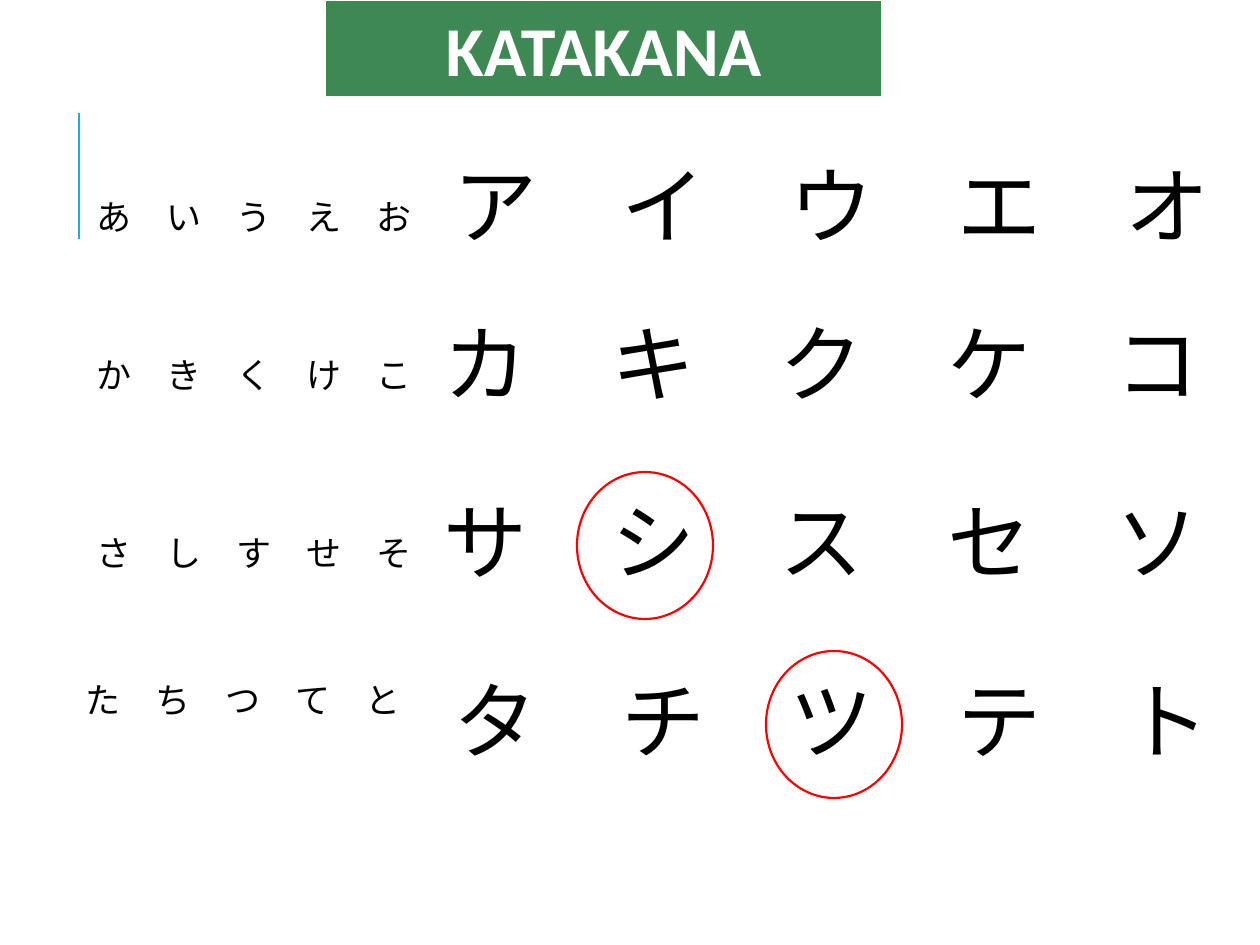
from lxml import etree
from pptx import Presentation
from pptx.dml.color import RGBColor
from pptx.enum.shapes import MSO_CONNECTOR, MSO_SHAPE
from pptx.enum.text import MSO_ANCHOR, MSO_AUTO_SIZE, PP_ALIGN
from pptx.oxml.ns import qn
from pptx.util import Pt

EMU_PER_PX = 914400 / 126
RECTANGLE, OVAL = MSO_SHAPE.RECTANGLE, MSO_SHAPE.OVAL
STRAIGHT = MSO_CONNECTOR.STRAIGHT
TOP, CENTER, LEFT = MSO_ANCHOR.TOP, PP_ALIGN.CENTER, PP_ALIGN.LEFT
GROW = MSO_AUTO_SIZE.SHAPE_TO_FIT_TEXT
IDEOGRAPHIC_SPACE = "　"

# hiragana, its left and top, katakana, its left and top
KANA_ROWS = [
    ("あいうえお", 84, 189, "アイウエオ", 441, 147),
    ("かきくけこ", 84, 347, "カキクケコ", 431, 305),
    ("さしすせそ", 84, 525, "サシスセソ", 431, 483),
    ("たちつてと", 73, 672, "タチツテト", 441, 662),
]
LOOKALIKE_CIRCLES = [(577, 472), (766, 651)]


def px(*lengths):
    return [round(length * EMU_PER_PX) for length in lengths]


def color(hex_string):
    return RGBColor.from_string(hex_string)


class KanaSlide:
    title_font, kana_font = "Calibri", "Noto Sans CJK JP"
    ink, white, green = "000000", "FFFFFF", "3E8853"
    red, blue = "FF0000", "1CADE4"

    def __init__(self, deck):
        self.slide = deck.slides.add_slide(deck.slide_layouts[6])

    def accent_line(self, x, top, bottom):
        line = self.slide.shapes.add_connector(STRAIGHT, *px(x, bottom, x, top))
        line.line.color.rgb = color(self.blue)
        line.line.width = Pt(1.5)
        etree.SubElement(line._element.spPr, qn("a:effectLst"))

    def outlined_shape(self, kind, bounds, line_color, line_width):
        shape = self.slide.shapes.add_shape(kind, *px(*bounds))
        shape.shadow.inherit = False
        shape.line.color.rgb = color(line_color)
        shape.line.width = Pt(line_width)
        return shape

    def add_text(self, frame, text, size, font, text_color, align=LEFT, bold=False):
        frame.word_wrap = True
        frame.auto_size = GROW
        frame.vertical_anchor = TOP
        para = frame.paragraphs[0]
        para.alignment = align
        span = para.add_run()
        span.text = text
        span.font.size = Pt(size)
        span.font.bold = bold
        span.font.color.rgb = color(text_color)
        span.font.name = font
        # East Asian characters take their typeface from a:ea
        etree.SubElement(span.font._element, qn("a:ea"), typeface=font)

    def title(self, text, *bounds):
        banner = self.outlined_shape(RECTANGLE, bounds, self.white, 1.5)
        banner.fill.solid()
        banner.fill.fore_color.rgb = color(self.green)
        self.add_text(banner.text_frame, text, 40, self.title_font, self.white, CENTER, True)

    def kana(self, letters, size, *bounds):
        box = self.slide.shapes.add_textbox(*px(*bounds))
        text = IDEOGRAPHIC_SPACE.join(letters)
        self.add_text(box.text_frame, text, size, self.kana_font, self.ink)

    def circle(self, left, top):
        ring = self.outlined_shape(OVAL, (left, top, 136, 147), self.red, 1.25)
        ring.fill.background()


def main():
    deck = Presentation()
    deck.slide_width, deck.slide_height = px(1260, 945)
    page = KanaSlide(deck)
    page.accent_line(79, 113, 239)
    page.title("KATAKANA", 325, 0, 557, 97)
    for hiragana, small_left, small_top, katakana, large_left, large_top in KANA_ROWS:
        page.kana(hiragana, 20, small_left, small_top, 388, 55)
        page.kana(katakana, 48, large_left, large_top, 788, 113)
    for left, top in LOOKALIKE_CIRCLES:
        page.circle(left, top)
    deck.save("out.pptx")


if __name__ == "__main__":
    main()
